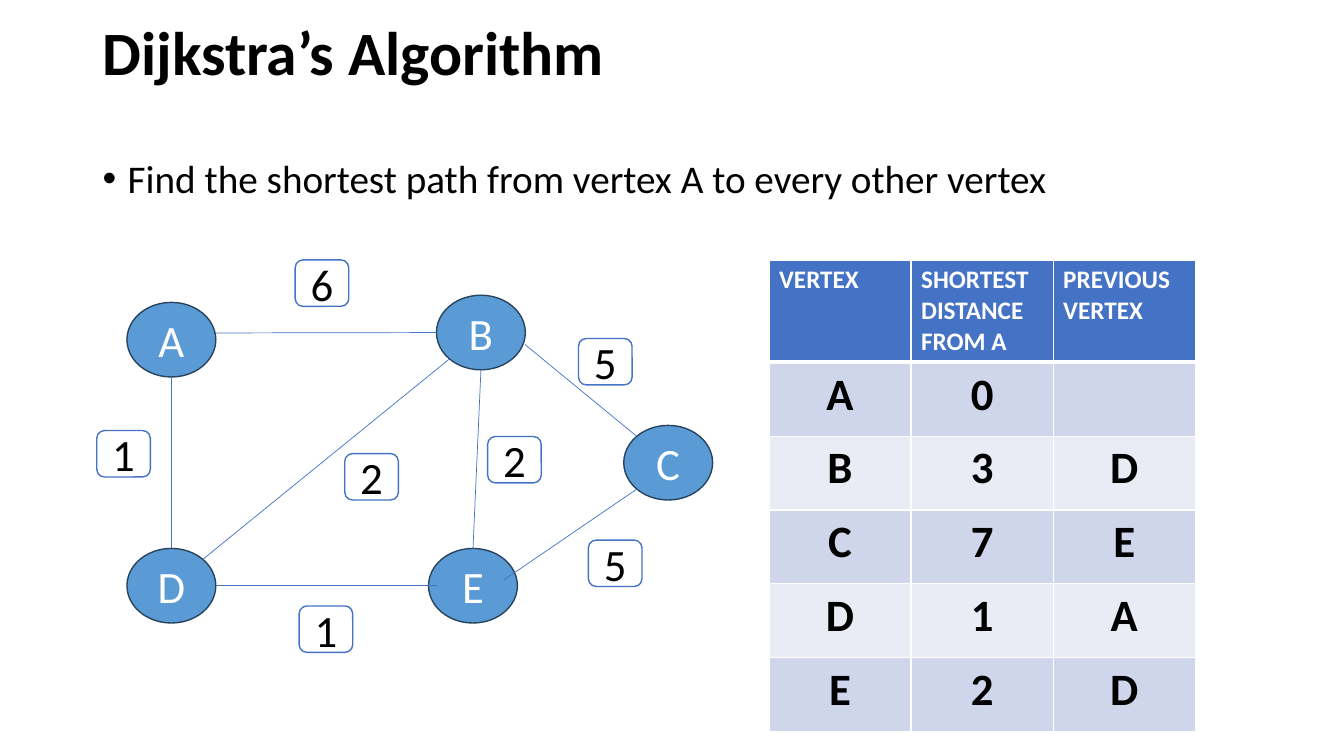
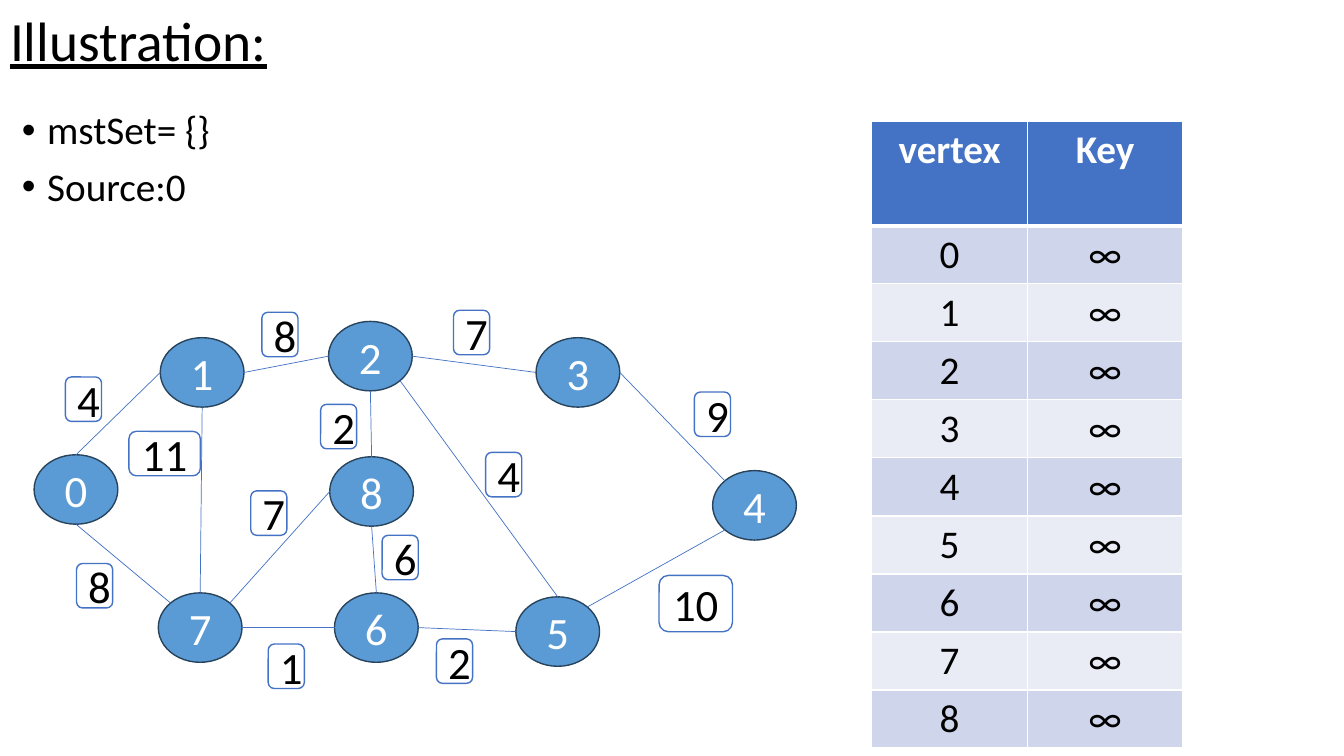
from lxml import etree
from pptx import Presentation
from pptx.dml.color import RGBColor
from pptx.enum.shapes import MSO_CONNECTOR, MSO_SHAPE
from pptx.enum.text import MSO_ANCHOR, MSO_AUTO_SIZE, PP_ALIGN
from pptx.oxml.ns import qn
from pptx.util import Cm, Pt

FONT = "Calibri"
BLACK = RGBColor(0x00, 0x00, 0x00)
WHITE = RGBColor(0xFF, 0xFF, 0xFF)
BLUE = RGBColor(0x44, 0x72, 0xC4)
NODE_FILL = RGBColor(0x5B, 0x9B, 0xD5)
NODE_LINE = RGBColor(0x28, 0x44, 0x5D)
BANDS = (RGBColor(0xCF, 0xD5, 0xEA), RGBColor(0xE9, 0xEB, 0xF5))
GRAPH_SIZE = 32

# Points on a node, as fractions of its half width and half height
TOP, BOTTOM, LEFT, RIGHT = (0, -1), (0, 1), (-1, 0), (1, 0)
TOP_LEFT, TOP_RIGHT = (-0.71, -0.71), (0.71, -0.71)
BOTTOM_LEFT, BOTTOM_RIGHT = (-0.71, 0.71), (0.71, 0.71)

# Lengths are in centimetres.
# An edge holds: start, point, end, point, weight, left and top of its label.
SLIDES = [
    {
        "title": "Dijkstra’s Algorithm",
        "title_box": (2.33, 0.05, 29.21, 2.72),
        "title_font": {"size": 44, "bold": True},
        "bullets": ["Find the shortest path from vertex A to every other vertex"],
        "body_box": (2.33, 3.89, 29.21, 14.53),
        "node_size": (2.24, 1.88),
        "nodes": {
            "A": (3.2, 7.62), "B": (11, 7.44), "C": (15.72, 10.72),
            "D": (3.2, 13.82), "E": (10.8, 13.82),
        },
        "label_size": (1.35, 1.17),
        "wide_labels": {},
        "edges": [
            ("A", (1, -0.18), "B", LEFT, "6", 7.44, 6.55),
            ("A", BOTTOM, "D", TOP, "1", 2.44, 10.85),
            ("D", TOP_RIGHT, "B", BOTTOM_LEFT, "2", 8.69, 11.43),
            ("D", RIGHT, "E", (-0.82, 0), "1", 7.54, 15.27),
            ("E", TOP, "B", BOTTOM, "2", 12.29, 11),
            ("C", TOP_LEFT, "B", (0.99, 0.32), "5", 14.58, 8.53),
            ("C", BOTTOM_LEFT, "E", (0.7, -0.16), "5", 14.83, 13.61),
        ],
        "header": ["VERTEX", "SHORTEST DISTANCE FROM A", "PREVIOUS VERTEX"],
        "rows": [("A", "0", ""), ("B", "3", "D"), ("C", "7", "E"),
                 ("D", "1", "A"), ("E", "2", "D")],
        "table_at": (19.38, 6.55),
        "column_width": 3.58,
        "row_heights": (2.16, 1.86),
        "header_font": {"size": 18, "align": PP_ALIGN.LEFT},
        "cell_font": {"size": 32, "bold": True},
    },
    {
        "title": "Illustration:",
        "title_box": (0, 0.3, 29.26, 1.57),
        "title_font": {"size": 39.6, "underline": True},
        "bullets": ["mstSet= {}", "Source:0"],
        "body_box": (0.3, 2.67, 32.69, 16.03),
        "node_size": (2.11, 1.75),
        "nodes": {
            "0": (0.86, 11.46), "1": (4.04, 8.51), "2": (8.28, 8.1),
            "3": (13.51, 8.51), "4": (17.96, 11.86), "5": (13, 15.04),
            "6": (8.43, 14.94), "7": (3.99, 14.94), "8": (8.31, 11.51),
        },
        "label_size": (0.91, 1.12),
        "wide_labels": {"10": (1.85, 1.42), "11": (1.8, 1.12)},
        "edges": [
            ("1", LEFT, "0", TOP, "4", 1.65, 9.5),
            ("0", BOTTOM, "7", TOP_LEFT, "8", 1.93, 14.2),
            ("1", RIGHT, "2", LEFT, "8", 6.6, 7.87),
            ("1", BOTTOM, "7", TOP, "11", 3.25, 10.87),
            ("3", LEFT, "2", RIGHT, "7", 11.43, 7.82),
            ("2", BOTTOM, "8", TOP, "2", 8.08, 10.19),
            ("5", TOP, "2", BOTTOM_RIGHT, "4", 12.24, 11.4),
            ("4", TOP_LEFT, "3", RIGHT, "9", 17.5, 9.88),
            ("4", BOTTOM_LEFT, "5", TOP_RIGHT, "10", 16.61, 14.5),
            ("6", RIGHT, "5", LEFT, "2", 11, 16.1),
            ("7", RIGHT, "6", LEFT, "1", 6.76, 16.23),
            ("8", BOTTOM, "6", TOP, "6", 9.63, 13.49),
            ("8", LEFT, "7", TOP_RIGHT, "7", 6.32, 12.37),
        ],
        "header": ["vertex", "Key"],
        "rows": [(str(vertex), "∞") for vertex in range(9)],
        "table_at": (21.97, 3.05),
        "column_width": 3.92,
        "row_heights": (2.64, 1.45),
        "header_font": {"size": 28},
        "cell_font": {"size": 28},
    },
]


def format_text(text_frame, size, color=BLACK, bold=False, underline=False,
                align=PP_ALIGN.CENTER):
    for paragraph in text_frame.paragraphs:
        paragraph.alignment = align
        for run in paragraph.runs:
            font = run.font
            font.name, font.size = FONT, Pt(size)
            font.bold, font.underline = bold, underline
            font.color.rgb = color


def place(shape, box):
    shape.left, shape.top, shape.width, shape.height = map(Cm, box)


def fill_placeholders(slide, content):
    title, body = slide.shapes.title, slide.placeholders[1]
    place(title, content["title_box"])
    place(body, content["body_box"])
    title.text_frame.text = content["title"]
    body.text_frame.text = "\n".join(content["bullets"])
    title.text_frame.vertical_anchor = MSO_ANCHOR.MIDDLE
    format_text(title.text_frame, align=PP_ALIGN.LEFT, **content["title_font"])
    format_text(body.text_frame, 28, align=PP_ALIGN.LEFT)
    for shape in (title, body):
        shape.text_frame.auto_size = MSO_AUTO_SIZE.NONE
        for paragraph in shape.text_frame.paragraphs:
            paragraph.line_spacing = 0.9
    for paragraph in body.text_frame.paragraphs:
        paragraph.space_before = Pt(10)
        properties = paragraph._p.get_or_add_pPr()
        properties.set("marL", str(Pt(18)))
        properties.set("indent", str(-Pt(18)))


def add_box(slide, kind, box, text, fill, line, color):
    shape = slide.shapes.add_shape(kind, *map(Cm, box))
    shape.shadow.inherit = False
    shape.fill.solid()
    shape.fill.fore_color.rgb = fill
    shape.line.color.rgb = line
    shape.line.width = Pt(1)
    shape.text_frame.text = text
    format_text(shape.text_frame, GRAPH_SIZE, color)


def add_edge(slide, start, end):
    edge = slide.shapes.add_connector(MSO_CONNECTOR.STRAIGHT, *map(Cm, start + end))
    edge.line.color.rgb = BLUE
    edge.line.width = Pt(0.5)
    etree.SubElement(edge._element.spPr, qn("a:effectLst"))


def add_graph(slide, content):
    nodes = content["nodes"]
    width, height = content["node_size"]

    def point_on(node, point):
        left, top = nodes[node]
        return (left + width / 2 * (1 + point[0]), top + height / 2 * (1 + point[1]))

    for name, corner in nodes.items():
        add_box(slide, MSO_SHAPE.FLOWCHART_CONNECTOR, corner + (width, height),
                name, NODE_FILL, NODE_LINE, WHITE)
    for start, start_point, end, end_point, *_ in content["edges"]:
        add_edge(slide, point_on(start, start_point), point_on(end, end_point))
    for *_, weight, left, top in content["edges"]:
        size = content["wide_labels"].get(weight, content["label_size"])
        add_box(slide, MSO_SHAPE.ROUNDED_RECTANGLE, (left, top) + size,
                weight, WHITE, BLUE, BLACK)


def add_borders(cell, bottom):
    properties = cell._tc.get_or_add_tcPr()
    for side, points in (("L", 1), ("R", 1), ("T", 1), ("B", bottom)):
        border = etree.SubElement(properties, qn("a:ln" + side), w=str(Pt(points)))
        fill = etree.SubElement(border, qn("a:solidFill"))
        etree.SubElement(fill, qn("a:srgbClr"), val=str(WHITE))


def add_vertex_table(slide, content):
    rows = [content["header"], *content["rows"]]
    header_height, row_height = content["row_heights"]
    columns = len(content["header"])
    left, top = content["table_at"]
    table = slide.shapes.add_table(
        len(rows), columns, Cm(left), Cm(top), Cm(content["column_width"] * columns),
        Cm(header_height + row_height * len(content["rows"]))).table
    for column in table.columns:
        column.width = Cm(content["column_width"])
    for index, values in enumerate(rows):
        is_header = index == 0
        table.rows[index].height = Cm(header_height if is_header else row_height)
        for cell, value in zip(table.rows[index].cells, values):
            add_borders(cell, 3 if is_header else 1)
            cell.fill.solid()
            cell.fill.fore_color.rgb = BLUE if is_header else BANDS[(index - 1) % 2]
            cell.text_frame.text = value
            if is_header:
                format_text(cell.text_frame, color=WHITE, bold=True,
                            **content["header_font"])
            else:
                format_text(cell.text_frame, **content["cell_font"])


def main():
    presentation = Presentation()
    presentation.slide_width, presentation.slide_height = Cm(33.87), Cm(19.05)
    for content in SLIDES:
        slide = presentation.slides.add_slide(presentation.slide_layouts[1])
        fill_placeholders(slide, content)
        add_graph(slide, content)
        add_vertex_table(slide, content)
    presentation.save("out.pptx")


if __name__ == "__main__":
    main()
